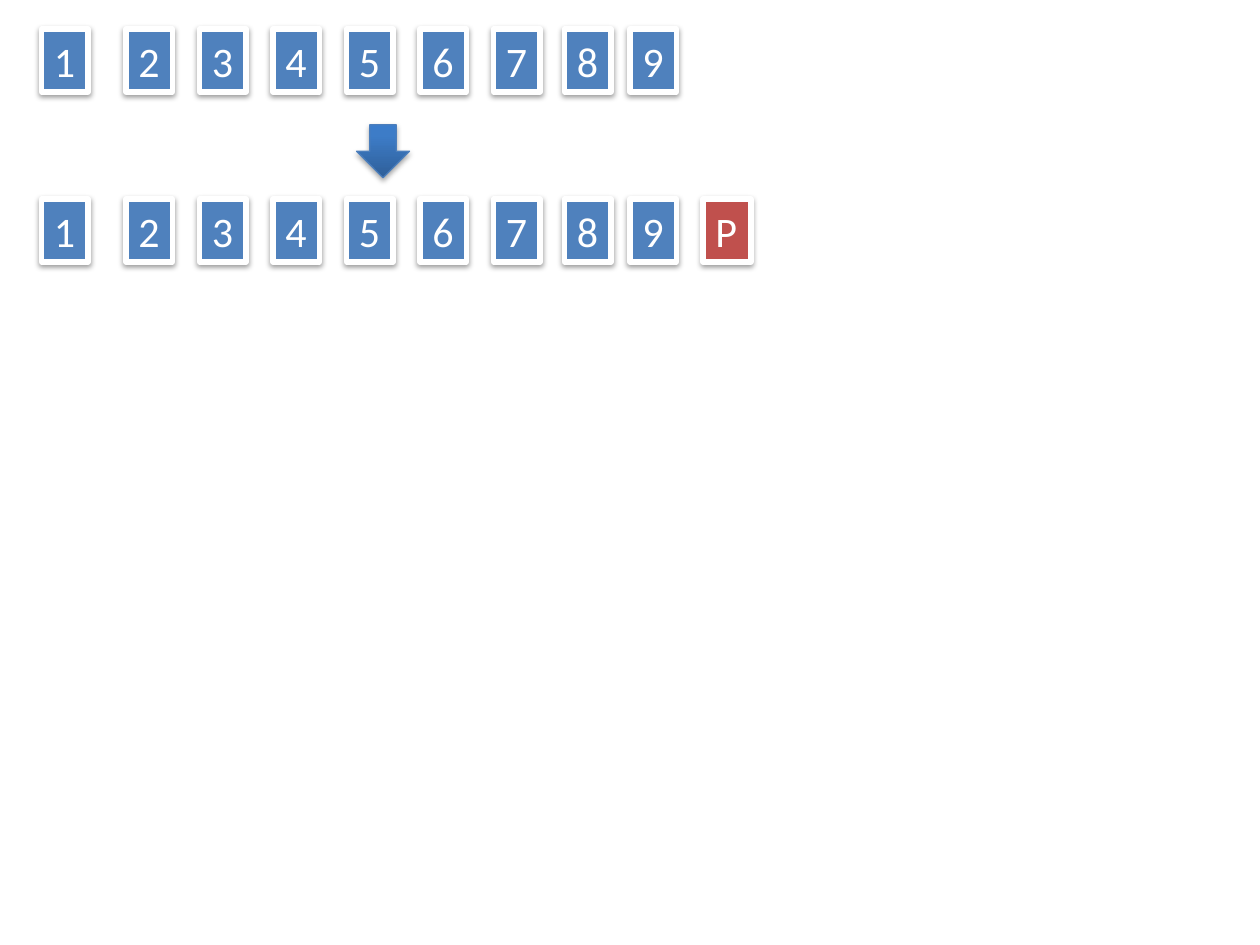
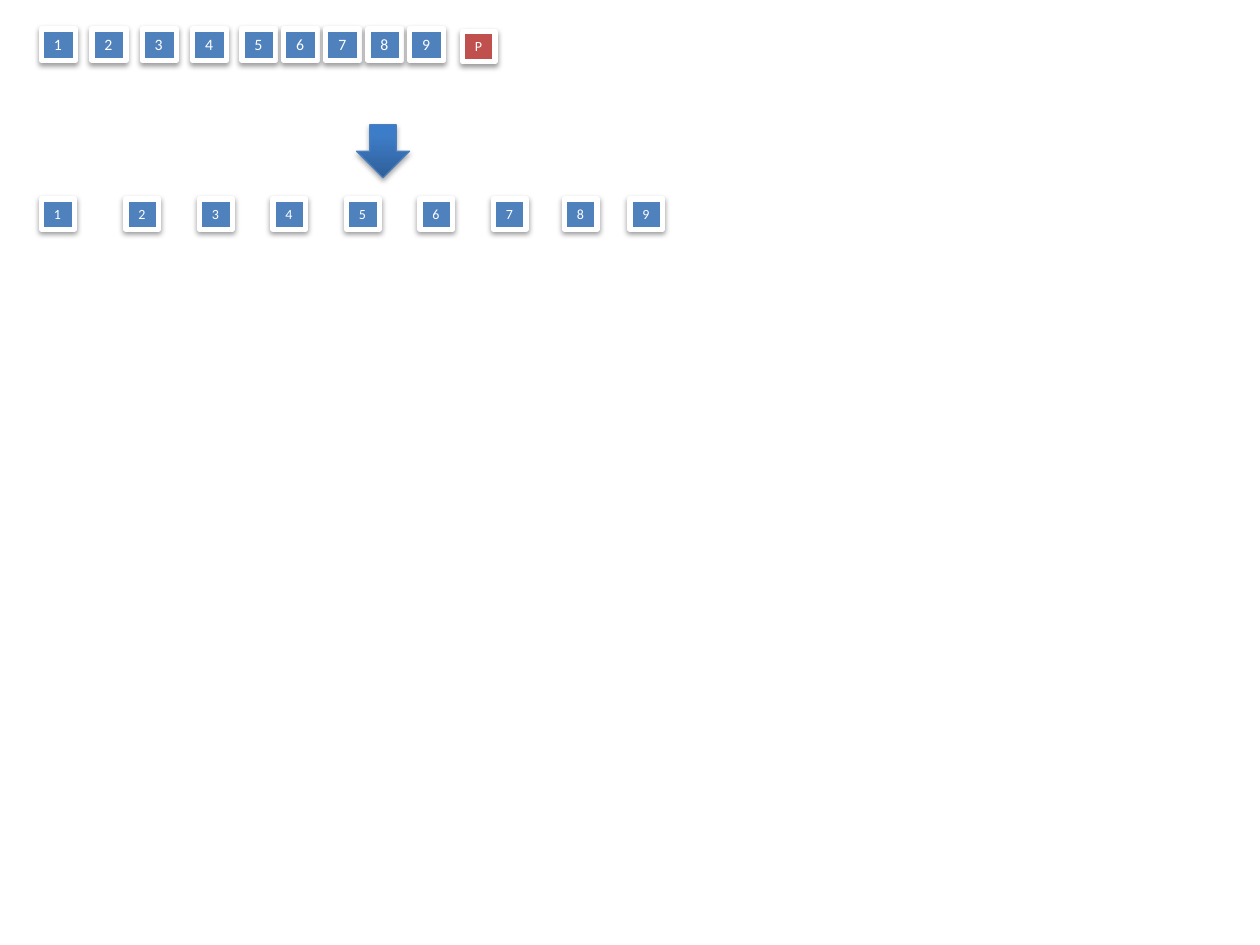
from pptx import Presentation
from pptx.dml.color import RGBColor
from pptx.enum.shapes import MSO_SHAPE
from pptx.enum.text import MSO_ANCHOR, MSO_AUTO_SIZE, PP_ALIGN
from pptx.oxml import parse_xml
from pptx.oxml.ns import nsdecls, qn
from pptx.util import Inches, Pt

COLORS = {
    "data": "4F81BD",
    "parity": "C0504D",
    "paper": "FFFFFF",
    "shadow": "000000",
    "arrow_edge": "4B7EBC",
    "arrow_dark": "2F5F99",
    "arrow_mid": "3D7CC7",
    "arrow_light": "3A7CCB",
}
ARROW_STOPS = ((0, "arrow_dark"), (80, "arrow_mid"), (100, "arrow_light"))
DIGITS = "123456789"
TOP_ROW, BOTTOM_ROW = 0.23, 1.58
LEFT_EDGE = 0.33
WIDE_COLUMNS = [LEFT_EDGE] + [1 + 7 / 12 * i for i in range(6)] + [4.48, 5]
TIGHT_COLUMNS = ([LEFT_EDGE + 0.4 * i for i in range(4)]
                 + [1.92 + i / 3 for i in range(5)])


def rgb(name):
    """Return the named palette colour."""
    return RGBColor.from_string(COLORS[name])


def write(shape, text, size, color="paper", font="Calibri"):
    """Put unwrapped, left-aligned text into a shape that fits it."""
    frame = shape.text_frame
    frame.word_wrap = False
    frame.auto_size = MSO_AUTO_SIZE.SHAPE_TO_FIT_TEXT
    frame.vertical_anchor = MSO_ANCHOR.TOP
    paragraph = frame.paragraphs[0]
    paragraph.alignment = PP_ALIGN.LEFT
    run = paragraph.add_run()
    run.text = text
    run.font.size = Pt(size)
    run.font.name = font
    run.font.color.rgb = rgb(color)


class Deck:
    """Hold the presentation, the shared style and the current slide."""

    def __init__(self):
        self.presentation = Presentation()
        self.presentation.slide_width = Inches(10)
        self.presentation.slide_height = Inches(7.5)
        self.slide = None

    def new_slide(self):
        """Start a blank slide."""
        self.slide = self.presentation.slides.add_slide(
            self.presentation.slide_layouts[6])

    def outline(self, shape, color, width):
        """Set the line of a shape."""
        shape.line.color.rgb = rgb(color)
        shape.line.width = Pt(width)

    def drop_shadow(self, shape, distance, opacity):
        """Give a shape a soft shadow straight below it."""
        shape.shadow.inherit = False
        effects = shape._element.spPr.find(qn("a:effectLst"))
        effects.append(parse_xml(
            f'<a:outerShdw {nsdecls("a")} blurRad="{Pt(3.1)}" '
            f'dist="{Pt(distance)}" dir="5400000" rotWithShape="0">'
            f'<a:srgbClr val="{COLORS["shadow"]}">'
            f'<a:alpha val="{opacity * 1000}"/></a:srgbClr></a:outerShdw>'))

    def block(self, shapes, label, left, top, size, points, color="data"):
        """Draw one labelled block with a white frame."""
        block = shapes.add_shape(MSO_SHAPE.RECTANGLE, Inches(left),
                                 Inches(top), *map(Inches, size))
        block.fill.solid()
        block.fill.fore_color.rgb = rgb(color)
        self.outline(block, "paper", 3)
        self.drop_shadow(block, 1.6, 38)
        write(block, label, size=points)

    def data_row(self, columns, top, size, points, grouped=True):
        """Draw blocks 1 to 9 and return the shapes they belong to."""
        shapes = self.slide.shapes
        if grouped:
            shapes = shapes.add_group_shape().shapes
        for digit, left in zip(DIGITS, columns):
            self.block(shapes, digit, left, top, size, points)
        return shapes

    def down_arrow(self):
        """Draw the gradient arrow between the two rows."""
        arrow = self.slide.shapes.add_shape(
            MSO_SHAPE.DOWN_ARROW, Inches(2.83), Inches(0.99),
            Inches(0.42), Inches(0.42))
        arrow.fill.gradient()
        arrow.fill.gradient_angle = 90
        stops = arrow._element.spPr.find(qn("a:gradFill")).find(qn("a:gsLst"))
        for stop in list(stops):
            stops.remove(stop)
        for position, color in ARROW_STOPS:
            stops.append(parse_xml(
                f'<a:gs {nsdecls("a")} pos="{position * 1000}">'
                f'<a:srgbClr val="{COLORS[color]}"/></a:gs>'))
        self.outline(arrow, "arrow_edge", 0.75)
        self.drop_shadow(arrow, 1.8, 35)


def add_parity_slide(deck):
    """Show nine data blocks gaining a parity block."""
    deck.new_slide()
    size = (0.37, 0.5)
    deck.data_row(WIDE_COLUMNS, TOP_ROW, size, 24)
    protected = deck.data_row(WIDE_COLUMNS, BOTTOM_ROW, size, 24)
    deck.block(protected, "P", 5.58, BOTTOM_ROW, (0.38, 0.5), 24, "parity")
    deck.down_arrow()


def add_split_slide(deck):
    """Show the protected group becoming nine separate blocks."""
    deck.new_slide()
    small = (0.26, 0.24)
    deck.data_row(WIDE_COLUMNS, BOTTOM_ROW, small, 8, grouped=False)
    protected = deck.data_row(TIGHT_COLUMNS, TOP_ROW, (0.27, 0.25), 9)
    deck.block(protected, "P", 3.67, 0.25, small, 8, "parity")
    deck.down_arrow()


deck = Deck()
add_parity_slide(deck)
add_split_slide(deck)
deck.presentation.save("out.pptx")
